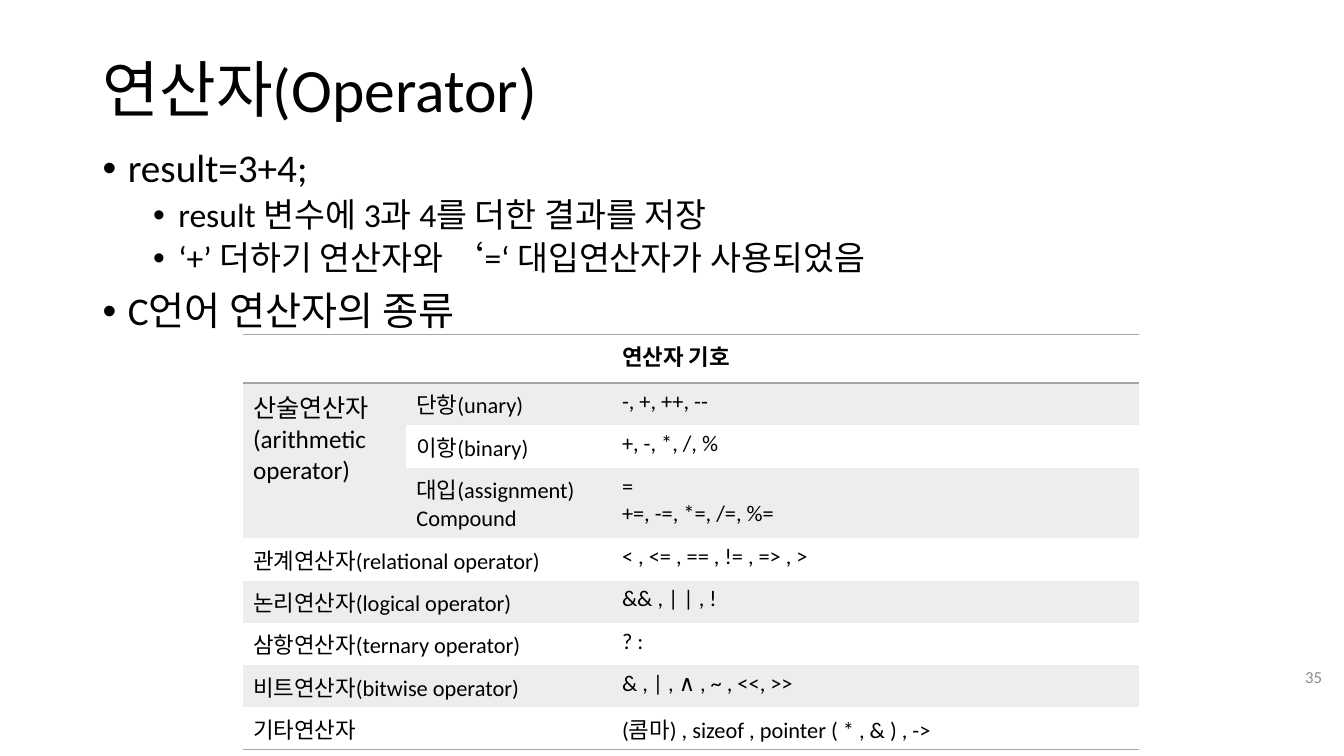
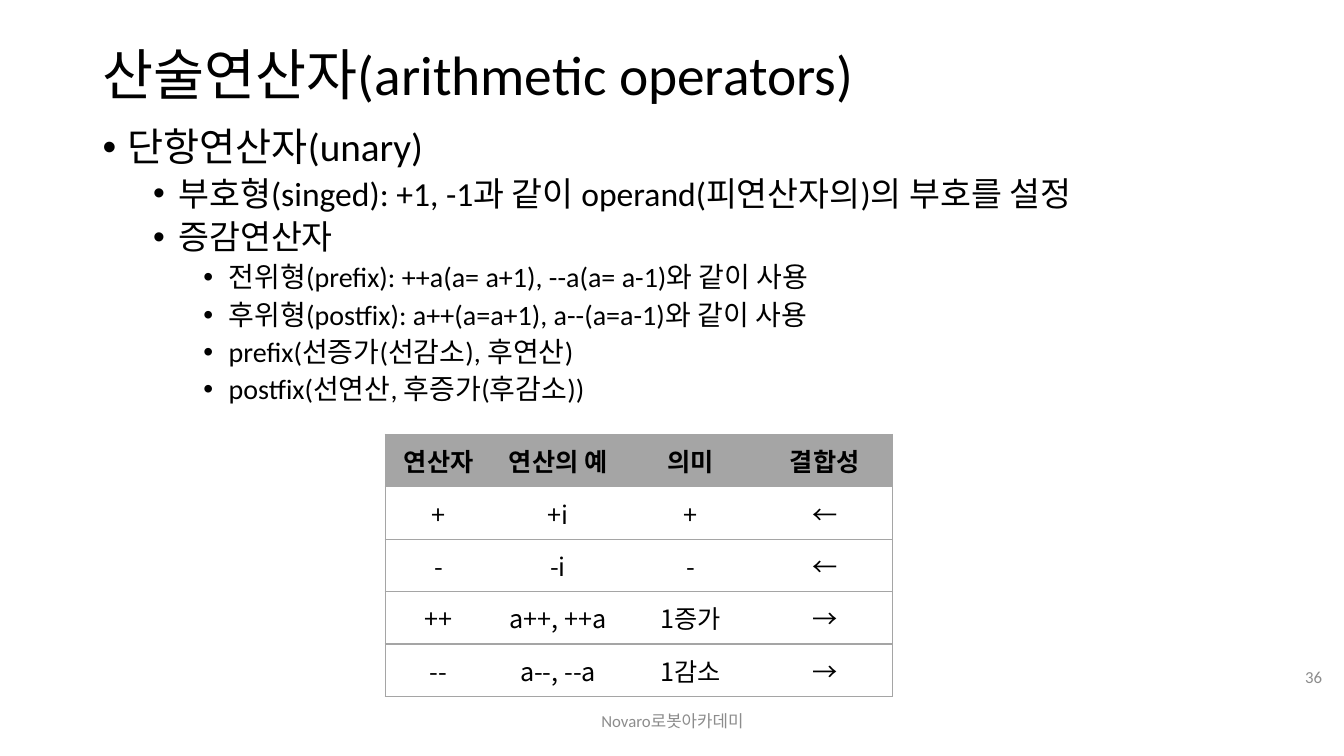
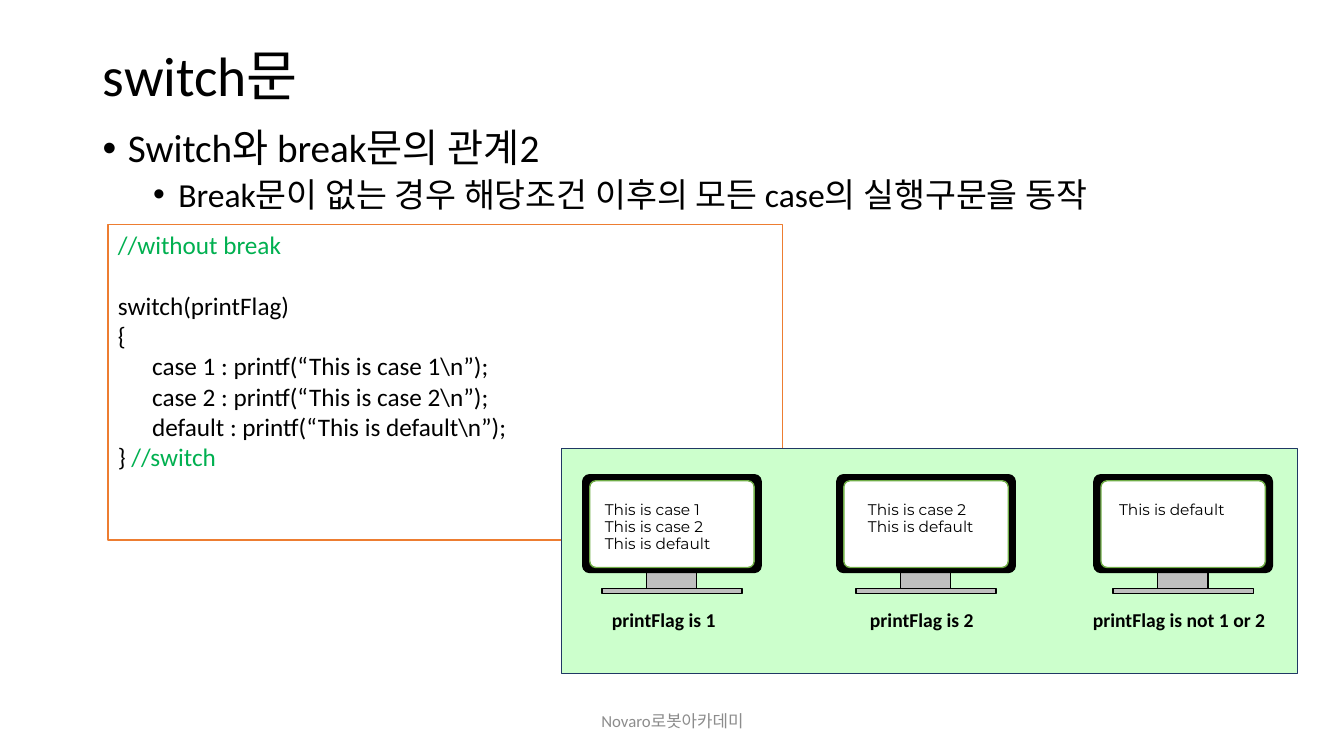
from dataclasses import dataclass

from lxml.etree import SubElement
from pptx import Presentation
from pptx.dml.color import RGBColor as Rgb
from pptx.enum.shapes import MSO_SHAPE as Form
from pptx.enum.text import MSO_ANCHOR as Anchor, PP_ALIGN as Align
from pptx.oxml.ns import qn
from pptx.util import Inches, Pt


@dataclass(frozen=True)
class Theme:
    font: str = "Calibri"
    asian: str = "Noto Sans CJK KR"
    screen: str = "Montserrat"
    black: str = "000000"
    white: str = "FFFFFF"
    gray: str = "A5A5A5"
    band: str = "EDEDED"
    muted: str = "8C8C8C"
    note: str = "00B050"
    frame: str = "ED7D31"
    panel: str = "CCFFCC"
    navy: str = "203864"
    stand: str = "BFBFBF"
    glass: str = "70AD47"
    title: float = 44
    small: float = 39.6
    body: tuple = (28, 24, 20)
    cell: float = 16
    large: float = 18
    foot: float = 12
    shell: float = 11
    label: float = 14
    plain: str = "{2D5ABB26-0587-4C30-8999-92F81FD0307C}"


class Deck:
    def __init__(self, theme):
        self.theme = theme
        self.show = Presentation()
        self.show.slide_width = Inches(13.33)
        self.show.slide_height = Inches(7.5)
        self.tree = None

    def slide(self, title, size, height, page=None, foot=None):
        t = self.theme
        self.tree = self.show.slides.add_slide(self.show.slide_layouts[6]).shapes
        frame = self.box(0.92, 0.4, 11.5, height, Anchor.MIDDLE)
        self.line(frame, title, size).line_spacing = 0.9
        if foot:
            frame = self.box(4.42, 6.95, 4.5, 0.4, Anchor.MIDDLE)
            self.line(frame, foot, t.foot, t.muted, align=Align.CENTER)
        if page:
            frame = self.box(12.59, 6.51, 0.62, 0.4, Anchor.MIDDLE)
            self.line(frame, page, t.foot, t.muted, align=Align.RIGHT)

    def group(self):
        self.tree = self.tree.add_group_shape().shapes

    def box(self, x, y, w, h, anchor=Anchor.TOP):
        frame = self.tree.add_textbox(
            Inches(x), Inches(y), Inches(w), Inches(h)).text_frame
        frame.word_wrap = True
        frame.vertical_anchor = anchor
        return frame

    def run(self, para, text, size, color=None, bold=False, face=None):
        for i, part in enumerate(text.split("\n")):
            if i:
                para.add_line_break()
            run = para.add_run()
            run.text = part
            font = run.font
            font.name = face or self.theme.font
            font.size = Pt(size)
            font.bold = bold
            font.color.rgb = Rgb.from_string(color or self.theme.black)
            SubElement(font._element, qn("a:ea")).set("typeface", self.theme.asian)

    def line(self, frame, text, size, color=None, bold=False, face=None,
             align=Align.LEFT):
        para = frame.paragraphs[-1]
        if para.runs:
            para = frame.add_paragraph()
        para.alignment = align
        self.run(para, text, size, color, bold, face)
        return para

    def list(self, top, items):
        frame = self.box(0.92, top, 11.5, 6.76 - top)
        for level, text in items:
            para = self.line(frame, text, self.theme.body[level])
            para.level = level
            para.line_spacing = 0.9
            para.space_before = Pt(5 if level else 10)
            prop = para._p.get_or_add_pPr()
            prop.set("marL", str(Inches(0.25 + 0.5 * level)))
            prop.set("indent", str(-Inches(0.25)))
            SubElement(prop, qn("a:buFont")).set("typeface", "Arial")
            SubElement(prop, qn("a:buChar")).set("char", "•")

    def shape(self, x, y, w, h, fill, edge, form=Form.RECTANGLE):
        shape = self.tree.add_shape(
            form, Inches(x), Inches(y), Inches(w), Inches(h))
        shape.shadow.inherit = False
        shape.fill.solid()
        shape.fill.fore_color.rgb = Rgb.from_string(fill)
        shape.line.color.rgb = Rgb.from_string(edge)
        shape.line.width = Pt(1)
        if form == Form.ROUNDED_RECTANGLE:
            shape.adjustments[0] = 0.07
        return shape

    def table(self, x, y, cols, rows):
        shape = self.tree.add_table(
            len(rows), len(cols), Inches(x), Inches(y),
            Inches(sum(cols)), Inches(sum(rows)))
        grid = shape.table
        grid.first_row = grid.horz_banding = False
        grid._tbl.tblPr.find(qn("a:tableStyleId")).text = self.theme.plain
        for col, width in zip(grid.columns, cols):
            col.width = Inches(width)
        for row, height in zip(grid.rows, rows):
            row.height = Inches(height)
        return grid

    def cell(self, cell, text, size, fill=None, edges="", **look):
        prop = cell._tc.get_or_add_tcPr()
        for side in edges:
            edge = SubElement(prop, qn("a:ln" + side), w=str(Pt(1)))
            paint = SubElement(edge, qn("a:solidFill"))
            SubElement(paint, qn("a:srgbClr")).set("val", self.theme.gray)
        if fill:
            cell.fill.solid()
            cell.fill.fore_color.rgb = Rgb.from_string(fill)
        else:
            cell.fill.background()
        if text:
            self.line(cell.text_frame, text, size, **look)

    def screen(self, x, lines, inset, label, shift):
        t = self.theme
        round_form = Form.ROUNDED_RECTANGLE
        self.shape(x + 0.63, 5.63, 0.5, 0.21, t.stand, t.black)
        self.shape(x, 4.71, 1.77, 0.97, t.black, t.black, round_form)
        self.shape(x + 0.07, 4.77, 1.63, 0.86, t.white, t.glass, round_form)
        self.shape(x + 0.19, 5.84, 1.39, 0.05, t.stand, t.black)
        frame = self.box(x + inset, 4.92, 1.65, 0.28)
        for text in lines:
            para = self.line(frame, text, t.shell, face=t.screen)
            para.line_spacing = Pt(12.4)
        frame = self.box(x + shift, 5.98, 2.31, 0.34)
        self.line(frame, label, t.label, bold=True)


def symbols(deck):
    t = deck.theme
    deck.slide("연산자(Operator)", t.title, 1.03, "35")
    deck.list(1.43, [
        (0, "result=3+4;"),
        (1, "result 변수에 3과 4를 더한 결과를 저장"),
        (1, "‘+’ 더하기 연산자와 ‘=‘ 대입연산자가 사용되었음"),
        (0, "C언어 연산자의 종류"),
    ])
    rows = [
        ("", None, "연산자 기호"),
        ("산술연산자\n(arithmetic operator)", "단항(unary)", "-, +, ++, --"),
        (None, "이항(binary)", "+, -, *, /, %"),
        (None, "대입(assignment)\nCompound", "=\n+=, -=, *=, /=, %="),
        ("관계연산자(relational operator)", None, "< , <= , == , != , => , >"),
        ("논리연산자(logical operator)", None, "&& , | | , !"),
        ("삼항연산자(ternary operator)", None, "? :"),
        ("비트연산자(bitwise operator)", None, "& , | , ∧ , ~ , <<, >>"),
        ("기타연산자", None, "(콤마) , sizeof , pointer ( * , & ) , ->"),
    ]
    high = [0.48, 0.42, 0.42, 0.7] + [0.42] * 5
    grid = deck.table(2.41, 3.32, [1.62, 2.04, 5.23], high)
    last = len(rows) - 1
    for r, row in enumerate(rows):
        edges = {0: "TB", last: "B"}.get(r, "")
        for c, text in enumerate(row):
            head = r == 1 and c == 0
            fill = t.band if r % 2 or (c == 0 and r == 2) else None
            deck.cell(grid.cell(r, c), text, t.large if head else t.cell,
                      fill, edges, bold=r == 0)
        if row[0] is not None and row[1] is None:
            grid.cell(r, 0).merge(grid.cell(r, 1))
    grid.cell(1, 0).merge(grid.cell(3, 0))


def unary(deck, foot):
    t = deck.theme
    deck.slide("산술연산자(arithmetic operators)", t.small, 0.73, "36", foot)
    deck.list(1.22, [
        (0, "단항연산자(unary)"),
        (1, "부호형(singed): +1, -1과 같이 operand(피연산자의)의 부호를 설정"),
        (1, "증감연산자"),
        (2, "전위형(prefix): ++a(a= a+1), --a(a= a-1)와 같이 사용"),
        (2, "후위형(postfix): a++(a=a+1), a--(a=a-1)와 같이 사용"),
        (2, "prefix(선증가(선감소), 후연산)"),
        (2, "postfix(선연산, 후증가(후감소))"),
    ])
    rows = [
        ("연산자", "연산의 예", "의미", "결합성"),
        ("+", "+i", "+", "←"),
        ("-", "-i", "-", "←"),
        ("++", "a++, ++a", "1증가", "→"),
        ("--", "a--, --a", "1감소", "→"),
    ]
    grid = deck.table(3.82, 4.31, [1.06, 1.31, 1.32, 1.34], [0.52] * len(rows))
    for r, row in enumerate(rows):
        for c, text in enumerate(row):
            cell = grid.cell(r, c)
            edges = {0: "LTB", 3: "RTB"}.get(c, "TB")
            deck.cell(cell, text, t.large, t.white if r else t.gray, edges,
                      bold=r == 0, face=t.asian, align=Align.CENTER)
            cell.vertical_anchor = Anchor.MIDDLE


def switch(deck, foot):
    t = deck.theme
    deck.slide("switch문", t.small, 0.75, foot=foot)
    deck.list(1.23, [
        (0, "Switch와 break문의 관계2"),
        (1, "Break문이 없는 경우 해당조건 이후의 모든 case의 실행구문을 동작"),
    ])
    frame = deck.shape(1.07, 2.23, 6.69, 3.13, t.white, t.frame).text_frame
    frame.word_wrap = True
    frame.vertical_anchor = Anchor.TOP
    deck.line(frame, "//without break", t.large, t.note)
    deck.line(frame, "switch(printFlag)", t.large).space_before = Pt(21.6)
    deck.line(frame, "{", t.large)
    for case in ("case 1", "case 2", "default"):
        text = f"{case} : printf(“This is {case}\\n”);"
        para = deck.line(frame, text, t.large)
        para._p.get_or_add_pPr().set("marL", str(Inches(0.34)))
    para = deck.line(frame, "} ", t.large)
    deck.run(para, "//switch", t.large, t.note)

    deck.group()
    deck.shape(5.57, 4.45, 7.3, 2.23, t.panel, t.navy)
    lines = ["This is case 1", "This is case 2", "This is default"]
    screens = [
        (5.78, 0.12, "printFlag is 1", 0.19),
        (8.3, 0.21, "printFlag is 2", 0.23),
        (10.85, 0.15, "printFlag is not 1 or 2", -0.11),
    ]
    for i, (x, inset, label, shift) in enumerate(screens):
        deck.screen(x, lines[i:], inset, label, shift)


def main():
    deck = Deck(Theme())
    foot = "Novaro로봇아카데미"
    symbols(deck)
    unary(deck, foot)
    switch(deck, foot)
    deck.show.save("out.pptx")


if __name__ == "__main__":
    main()
